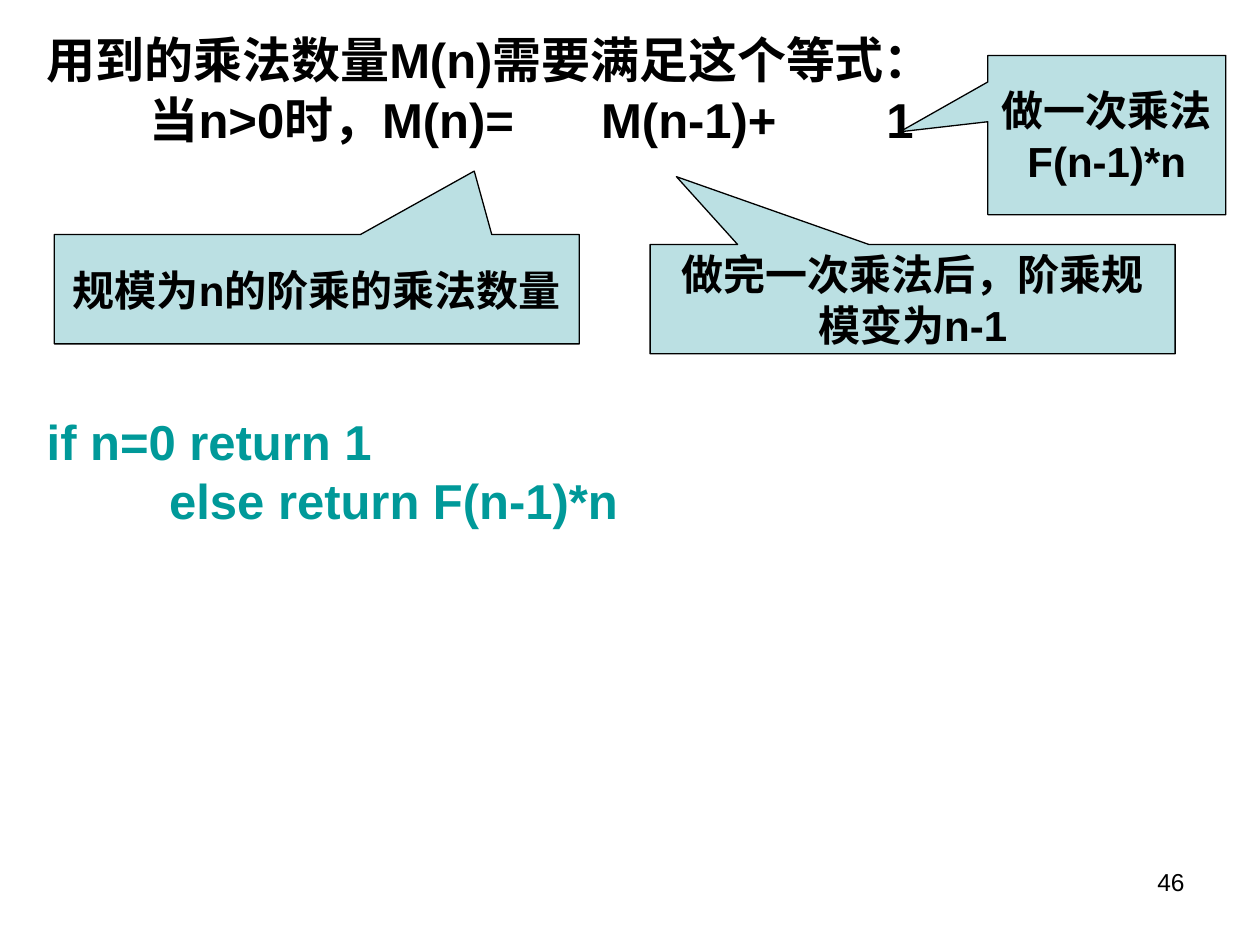
from typing import NamedTuple

from lxml.etree import SubElement
from pptx import Presentation
from pptx.dml.color import RGBColor
from pptx.enum.shapes import MSO_SHAPE as Shape
from pptx.enum.text import MSO_ANCHOR as Anchor, MSO_AUTO_SIZE as AutoSize, PP_ALIGN as Align
from pptx.oxml.ns import qn
from pptx.util import Pt

BLACK = RGBColor(0x00, 0x00, 0x00)
TEAL = RGBColor(0x00, 0x99, 0x99)
PALE_BLUE = RGBColor(0xBB, 0xE0, 0xE3)

BODY_LEFT = 19.5
BODY_TOP = 20
LINE_PITCH = 34.3
EQUATION_INDENT = 59


class Line(NamedTuple):
    text: str
    color: RGBColor = BLACK
    space_before: float = 0
    indent: float = 0


class Callout(NamedTuple):
    text: str
    left: float
    top: float
    width: float
    height: float
    tip: tuple[float, float]  # offset from the centre, as a share of the size


BODY_LINES = [
    Line("用到的乘法数量M(n)需要满足这个等式："),
    Line("if n=0 return 1", TEAL, space_before=191),
    Line("else return F(n-1)*n", TEAL, space_before=7, indent=70),
]

EQUATION = "当n>0时，M(n)=\tM(n-1)+\t1"
EQUATION_TABS = (258, 421)

CALLOUTS = [
    Callout("规模为n的阶乘的乘法数量", 31, 134, 300, 62.5, (0.3, -1.08)),
    Callout("做一次乘法F(n-1)*n", 564.5, 31.7, 136, 91, (-0.87, -0.02)),
    Callout("做完一次乘法后，阶乘规模变为n-1", 371.5, 139.7, 300, 62.5, (-0.45, -1.12)),
]


def write(paragraph, text: str, *, size: float, color: RGBColor = BLACK, bold: bool = True,
          align: Align = Align.LEFT, line_spacing: float = 1.0) -> None:
    paragraph.alignment = align
    paragraph.line_spacing = line_spacing
    run = paragraph.add_run()
    run.text = text
    run.font.name = "Arial"
    run.font.size = Pt(size)
    run.font.bold = bold
    run.font.color.rgb = color


def fill_body(body, lines: list[Line]) -> None:
    body.left, body.top, body.width, body.height = Pt(BODY_LEFT), Pt(BODY_TOP), Pt(680), Pt(520)
    frame = body.text_frame
    frame.word_wrap = True
    frame.auto_size = AutoSize.NONE
    frame.vertical_anchor = Anchor.TOP
    for index, line in enumerate(lines):
        paragraph = frame.add_paragraph() if index else frame.paragraphs[0]
        properties = paragraph._p.get_or_add_pPr()
        properties.set("marL", str(Pt(line.indent)))
        properties.set("indent", "0")
        SubElement(properties, qn("a:buNone"))
        paragraph.space_before = Pt(line.space_before)
        write(paragraph, line.text, size=28, color=line.color, line_spacing=0.8)


def draw_equation(slide, text: str, tabs: tuple[float, ...]) -> None:
    """Set the equation as one line whose terms stand on tab stops above the callout tips."""
    box = slide.shapes.add_textbox(
        Pt(BODY_LEFT + EQUATION_INDENT), Pt(BODY_TOP + LINE_PITCH), Pt(460), Pt(36))
    box.text_frame.word_wrap = True
    paragraph = box.text_frame.paragraphs[0]
    stops = SubElement(paragraph._p.get_or_add_pPr(), qn("a:tabLst"))
    for position in tabs:
        SubElement(stops, qn("a:tab"), pos=str(Pt(position)), algn="l")
    write(paragraph, text, size=28, line_spacing=0.8)


def draw_callout(slide, callout: Callout) -> None:
    bubble = slide.shapes.add_shape(
        Shape.RECTANGULAR_CALLOUT, Pt(callout.left), Pt(callout.top),
        Pt(callout.width), Pt(callout.height))
    bubble.adjustments[0], bubble.adjustments[1] = callout.tip
    bubble.shadow.inherit = False
    bubble.fill.solid()
    bubble.fill.fore_color.rgb = PALE_BLUE
    bubble.line.color.rgb = BLACK
    bubble.line.width = Pt(0.75)
    frame = bubble.text_frame
    frame.word_wrap = True
    frame.vertical_anchor = Anchor.MIDDLE
    write(frame.paragraphs[0], callout.text, size=24, align=Align.CENTER)


def main() -> None:
    presentation = Presentation()
    presentation.slide_width, presentation.slide_height = Pt(720), Pt(540)
    slide = presentation.slides.add_slide(presentation.slide_layouts[1])
    title = slide.shapes.title
    title.element.getparent().remove(title.element)

    fill_body(slide.placeholders[1], BODY_LINES)
    draw_equation(slide, EQUATION, EQUATION_TABS)
    for callout in CALLOUTS:
        draw_callout(slide, callout)

    page_number = slide.shapes.add_textbox(Pt(516), Pt(492), Pt(168), Pt(37.5))
    page_number.text_frame.word_wrap = True
    write(page_number.text_frame.paragraphs[0], "46", size=14, bold=False, align=Align.RIGHT)

    presentation.save("out.pptx")


if __name__ == "__main__":
    main()
